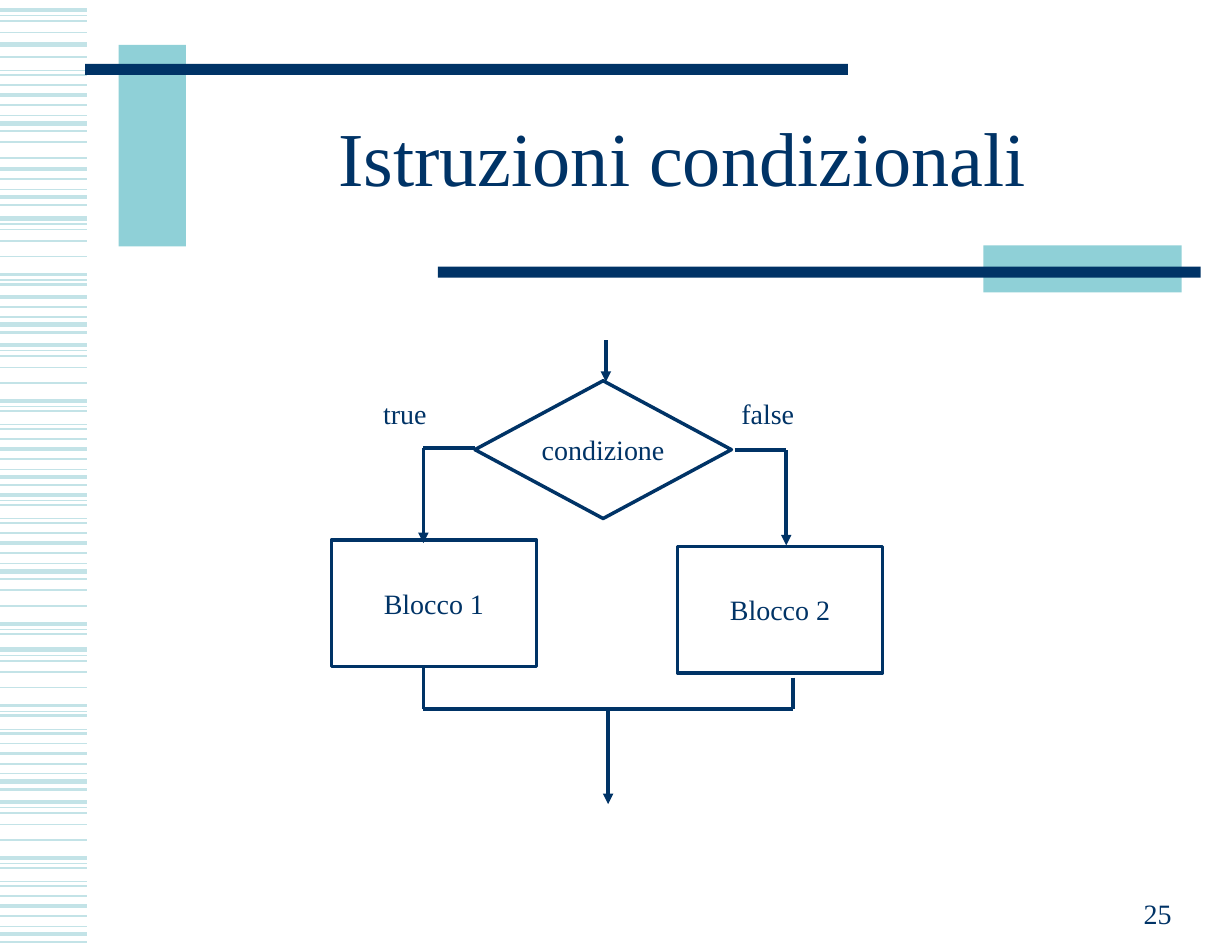
"""Build the slide on conditional statements: a striped margin, a title and a flowchart."""
import pptx
import pptx.dml.color
import pptx.enum.shapes
import pptx.enum.text
import pptx.oxml
import pptx.oxml.ns
import pptx.util

NAVY, TEAL, PALE = "003366", "8FD0D7", "C3E3E7"
SHAPE = pptx.enum.shapes.MSO_SHAPE
ALIGN = pptx.enum.text.PP_ALIGN
ANCHOR = pptx.enum.text.MSO_ANCHOR
rgb = pptx.dml.color.RGBColor.from_string

prs = pptx.Presentation()
prs.slide_width, prs.slide_height = pptx.util.Inches(11), pptx.util.Inches(8.5)
col, row = prs.slide_width / 11, prs.slide_height / 8.5
s = prs.slides.add_slide(prs.slide_layouts[6])


def write(sp, text, size=18, align=ALIGN.LEFT, anchor=ANCHOR.TOP, wrap=False, spacing=None):
    tf = sp.text_frame
    tf.word_wrap, tf.vertical_anchor = wrap, anchor
    tf.margin_left = tf.margin_right = int(0.11 * col)
    tf.margin_top = tf.margin_bottom = int(0.06 * row)
    p = tf.paragraphs[0]
    p.alignment, p.line_spacing = align, spacing
    r = p.add_run()
    r.text = text
    r.font.name, r.font.size = "Times New Roman", pptx.util.Pt(size)
    r.font.color.rgb = rgb(NAVY)


def line(x1, y1, x2, y2, color=NAVY, width=2.25, arrow=False):
    cx = s.shapes.add_connector(pptx.enum.shapes.MSO_CONNECTOR.STRAIGHT,
                                int(x1 * col), int(y1 * row), int(x2 * col), int(y2 * row))
    cx.line.color.rgb, cx.line.width = rgb(color), pptx.util.Pt(width)
    if arrow:
        tail = pptx.oxml.parse_xml(f'<a:tailEnd {pptx.oxml.ns.nsdecls("a")} type="triangle"/>')
        cx.line._get_or_add_ln().append(tail)
    cx._element.spPr.append(pptx.oxml.parse_xml(f'<a:effectLst {pptx.oxml.ns.nsdecls("a")}/>'))


motif = [(-1.18, 3), (-1.13, 0.75), (-1.08, 1), (-0.98, 1), (-0.84, 1), (-0.68, 2.25),
         (-0.63, 0.75), (-0.59, 1.5), (-0.47, 0.75), (-0.43, 1.5), (-0.34, 1),
         (-0.25, 2.25), (-0.16, 1.5), (-0.07, 0.75), (0, 3), (0.07, 1.5)]
bands = [(8.34, -1.18, 0.07), (6.98, -1.18, 0.07), (6.25, -0.98, -0.59),
         (5.1, -0.68, 0.07), (4.26, -1.18, 0.07), (2.9, -0.25, 0.07),
         (3.13, -1.18, -0.59), (1.76, -0.25, 0.07), (2.25, -0.98, -0.84),
         (1.1, -0.59, 0.07), (1.27, -1.18, -0.98), (1.58, -1.18, -1.18)]
for base, first, last in bands:
    for offset, width in motif:
        if first <= offset <= last:
            line(0, base + offset, 0.78, base + offset, PALE, width)

for x, y, w, h, color in [(1.06, 0.4, 0.6, 1.8, TEAL), (0.76, 0.57, 6.81, 0.1, NAVY),
                          (8.78, 2.19, 1.77, 0.42, TEAL), (3.91, 2.38, 6.81, 0.1, NAVY)]:
    sp = s.shapes.add_shape(SHAPE.RECTANGLE, int(x * col), int(y * row), int(w * col), int(h * row))
    sp.shadow.inherit = False
    sp.fill.solid()
    sp.fill.fore_color.rgb = rgb(color)
    sp.line.fill.background()

for kind, x, y, w, h, text in [(SHAPE.DIAMOND, 4.24, 3.4, 2.29, 1.23, "condizione"),
                               (SHAPE.FLOWCHART_PROCESS, 2.96, 4.82, 1.83, 1.13, "Blocco 1"),
                               (SHAPE.FLOWCHART_PROCESS, 6.05, 4.88, 1.83, 1.13, "Blocco 2")]:
    sp = s.shapes.add_shape(kind, int(x * col), int(y * row), int(w * col), int(h * row))
    sp.shadow.inherit = False
    sp.fill.background()
    sp.line.color.rgb, sp.line.width = rgb(NAVY), pptx.util.Pt(2.25)
    write(sp, text, align=ALIGN.CENTER, anchor=ANCHOR.MIDDLE)

for x1, y1, x2, y2, arrow in [(5.41, 3.04, 5.41, 3.41, True),
                              (4.24, 4, 3.78, 4, False), (3.78, 4, 3.78, 4.85, True),
                              (6.56, 4.02, 7.02, 4.02, False), (7.02, 4.02, 7.02, 4.87, True),
                              (3.78, 5.95, 3.78, 6.33, False), (7.08, 6.05, 7.08, 6.33, False),
                              (3.78, 6.33, 7.08, 6.33, False), (5.43, 6.33, 5.43, 7.18, True)]:
    line(x1, y1, x2, y2, arrow=arrow)

for x, y, w, h, text, style in [
        (3.31, 3.48, 0.61, 0.41, "true", {}),
        (6.51, 3.48, 0.7, 0.41, "false", {}),
        (7.93, 7.79, 2.64, 0.57, "25",
         dict(align=ALIGN.RIGHT, anchor=ANCHOR.BOTTOM, wrap=True)),
        (1.65, 0.75, 8.88, 1.42, "Istruzioni condizionali",
         dict(size=49, align=ALIGN.CENTER, anchor=ANCHOR.MIDDLE, wrap=True, spacing=0.85))]:
    sp = s.shapes.add_textbox(int(x * col), int(y * row), int(w * col), int(h * row))
    write(sp, text, **style)

prs.save("out.pptx")
